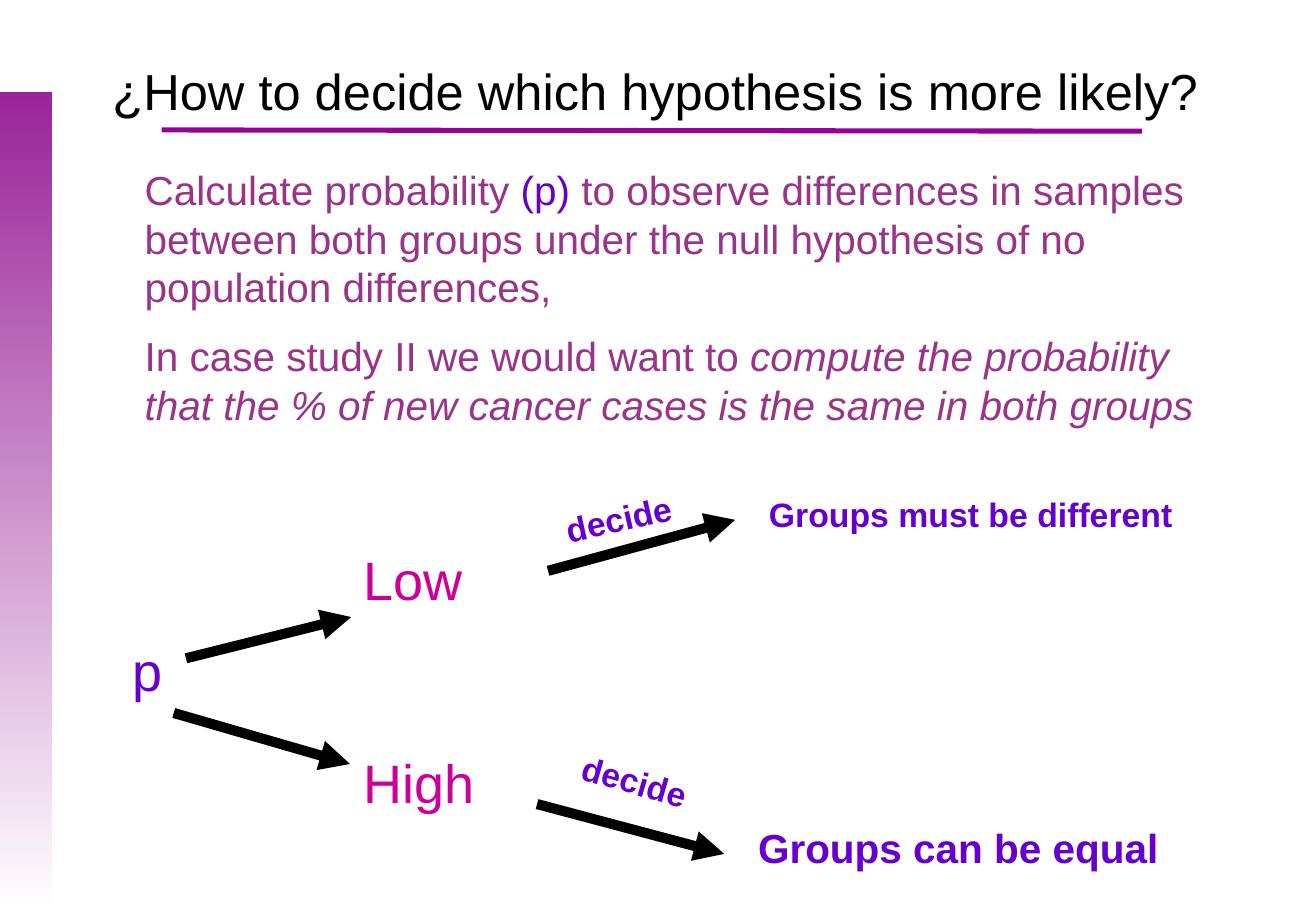
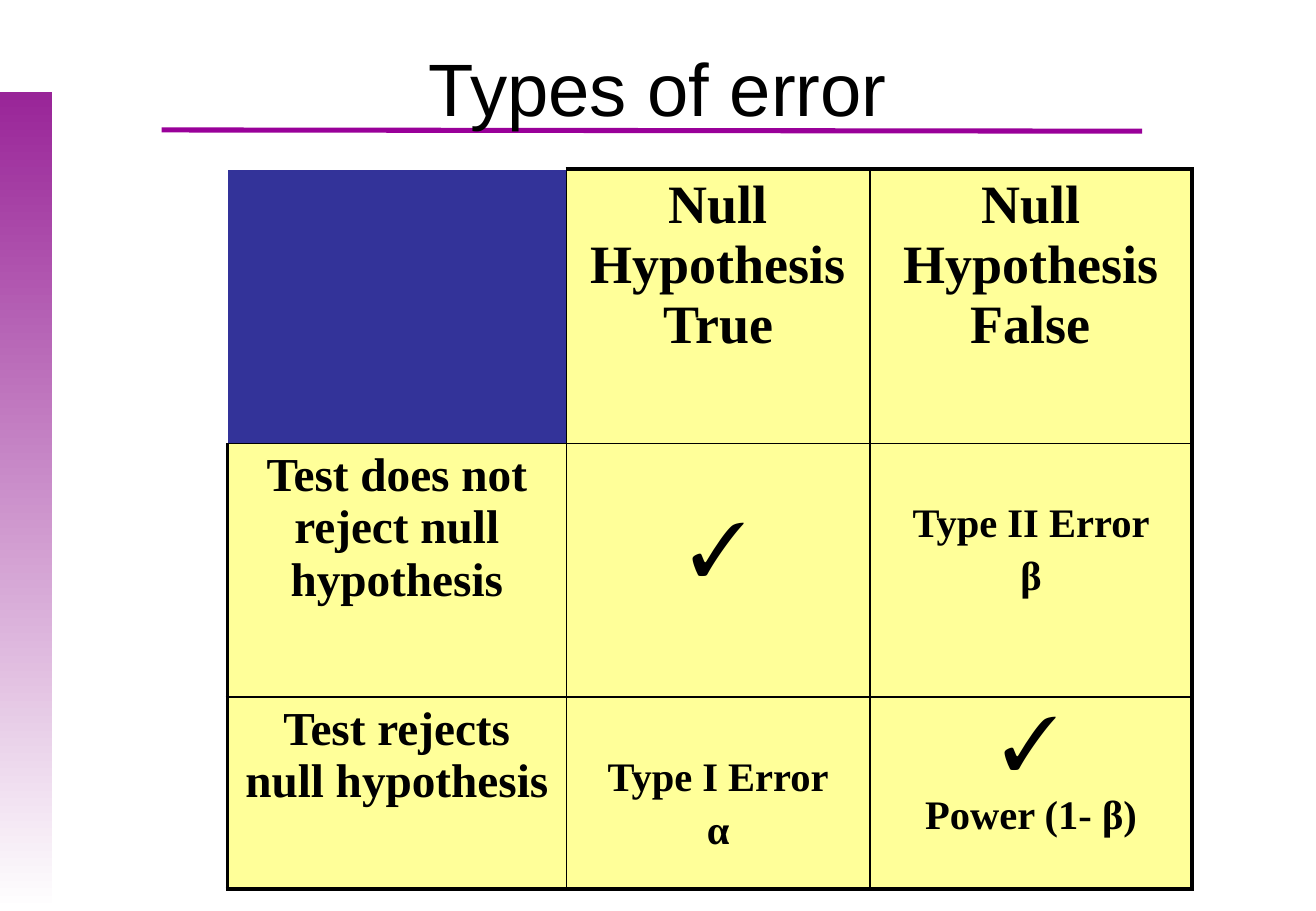
from lxml.etree import SubElement
from pptx import Presentation
from pptx.dml.color import RGBColor
from pptx.enum.shapes import MSO_CONNECTOR, MSO_SHAPE
from pptx.enum.text import MSO_ANCHOR, MSO_AUTO_SIZE, PP_ALIGN
from pptx.oxml import parse_xml
from pptx.oxml.ns import nsdecls, qn
from pptx.util import Inches, Pt

SANS, SERIF = "Arial", "Times New Roman"
BLACK, WHITE = "000000", "FFFFFF"
BAND, RULE = "992598", "990099"
PLUM, VIOLET, MAGENTA = "993489", "6600CC", "CC0099"
NAVY, YELLOW = "333399", "FFFF99"
THIN, THICK = 1, 2.25

RESULT = {"size": 20, "color": VIOLET, "bold": True}
OUTCOME = {"size": 32, "color": MAGENTA}


def rgb(value):
    """Return the colour for a hex string."""
    return RGBColor.from_string(value)


def set_values(target, values):
    """Set every attribute named in a dict."""
    for name, value in values.items():
        setattr(target, name, value)


def place(shape, left, top, width, height):
    """Move and size a shape, in inches."""
    box = {"left": left, "top": top, "width": width, "height": height}
    set_values(shape, {name: Inches(value) for name, value in box.items()})


def add_run(paragraph, text, size, color=BLACK, name=SANS, **values):
    """Add a formatted run to a paragraph."""
    run = paragraph.add_run()
    run.text = text
    set_values(run.font, {"size": Pt(size), "name": name, **values})
    run.font.color.rgb = rgb(color)


def add_line(slide, start, end, color, width, arrow=False):
    """Draw a straight line, with an arrowhead on request."""
    points = [Inches(value) for value in (*start, *end)]
    connector = slide.shapes.add_connector(MSO_CONNECTOR.STRAIGHT, *points)
    connector.line.color.rgb = rgb(color)
    connector.line.width = Pt(width)
    properties = connector.element.spPr
    if arrow:
        SubElement(properties.find(qn("a:ln")), qn("a:tailEnd"), type="triangle")
    SubElement(properties, qn("a:effectLst"))
    return connector


def add_label(slide, text, left, top, width, height, style, rotation=0):
    """Add a one-line text box."""
    label = slide.shapes.add_textbox(0, 0, 0, 0)
    place(label, left, top, width, height)
    label.rotation = rotation
    label.text_frame.word_wrap = True
    add_run(label.text_frame.paragraphs[0], text, **style)


def decorate_master(master, slide):
    """Put the side band and title rule on the master."""
    band = slide.shapes.add_shape(MSO_SHAPE.RECTANGLE, 0, 0, 0, 0)
    place(band, 0, 0.76, 0.43, 6.74)
    band.shadow.inherit = False
    band.line.fill.background()
    band.fill.gradient()
    band.fill.gradient_angle = 270
    for stop, position, color in zip(band.fill.gradient_stops, (0, 1), (BAND, WHITE)):
        stop.position = position
        stop.color.rgb = rgb(color)
    rule = add_line(slide, (1.33, 1.07), (9.4, 1.08), RULE, 3)
    for number, shape in enumerate((band, rule), start=101):
        shape.element.xpath("./*/p:cNvPr")[0].set("id", str(number))
        master.shapes.element.append(shape.element)


def set_title(slide, text, size, *box):
    """Fill and place the title placeholder."""
    title = slide.shapes.title
    place(title, *box)
    frame = title.text_frame
    set_values(frame, {"vertical_anchor": MSO_ANCHOR.TOP, "auto_size": MSO_AUTO_SIZE.NONE})
    frame.paragraphs[0].alignment = PP_ALIGN.CENTER
    add_run(frame.paragraphs[0], text, size)


def fill_body(body, *box):
    """Write the explanation into the body placeholder."""
    place(body, *box)
    frame = body.text_frame
    frame.auto_size = MSO_AUTO_SIZE.NONE
    paragraphs = (
        (
            ("Calculate probability ", {}),
            ("(p) ", {"color": VIOLET}),
            ("to observe differences in samples between both groups under "
             "the null hypothesis of no population differences,", {}),
        ),
        (
            ("In case study II we would want to ", {}),
            ("compute the probability that the % of new cancer cases "
             "is the same in both groups", {"italic": True}),
        ),
    )
    for index, runs in enumerate(paragraphs):
        paragraph = frame.add_paragraph() if index else frame.paragraphs[0]
        paragraph.space_before = Pt(12)
        properties = paragraph._p.get_or_add_pPr()
        set_values_xml = {"marL": "0", "indent": "0"}
        for name, value in set_values_xml.items():
            properties.set(name, value)
        SubElement(properties, qn("a:buNone"))
        for text, style in runs:
            add_run(paragraph, text, **{"size": 24, "color": PLUM, **style})


def add_decision_tree(slide, left, top):
    """Draw the tree from p to both conclusions."""
    labels = (
        ("p", 0, 1.18, 1.9, 0.63, {"size": 32, "color": VIOLET}, 0),
        ("Low", 1.9, 0.43, 1.9, 0.63, OUTCOME, 0),
        ("High", 1.9, 2.1, 1.9, 0.63, OUTCOME, 0),
        ("Groups must be different", 5.24, 0, 4.06, 0.44, RESULT, 0),
        ("Groups can be equal", 5.15, 2.71, 4.06, 0.51, {**RESULT, "size": 24}, 0),
        ("decide", 3.56, 0.02, 1.2, 0.44, RESULT, 347.3),
        ("decide", 3.69, 2.21, 1.2, 0.44, RESULT, 16.1),
    )
    arrows = (
        (0.54, 1.4, 1.9, 1.06),
        (0.44, 1.85, 1.89, 2.27),
        (3.52, 0.68, 5.06, 0.26),
        (3.43, 2.6, 4.97, 3.01),
    )
    for text, x, y, width, height, style, rotation in labels:
        add_label(slide, text, left + x, top + y, width, height, style, rotation)
    for x1, y1, x2, y2 in arrows:
        add_line(slide, (left + x1, top + y1), (left + x2, top + y2), BLACK, 6, True)


def set_borders(cell, widths):
    """Give a cell black borders, keyed by side."""
    properties = cell._tc.get_or_add_tcPr()
    for index, (side, width) in enumerate(widths.items()):
        properties.insert(index, parse_xml(
            f'<a:ln{side} {nsdecls("a")} w="{Pt(width)}"><a:solidFill>'
            f'<a:srgbClr val="{BLACK}"/></a:solidFill></a:ln{side}>'))


def fill_cell(cell, top_margin, lines):
    """Write centred bold lines into a cell."""
    margins = {"margin_left": 0.11, "margin_right": 0.11,
               "margin_top": top_margin, "margin_bottom": 0.05}
    set_values(cell, {name: Inches(value) for name, value in margins.items()})
    for index, (text, size) in enumerate(lines):
        frame = cell.text_frame
        paragraph = frame.add_paragraph() if index else frame.paragraphs[0]
        set_values(paragraph, {"alignment": PP_ALIGN.CENTER, "space_before": Pt(size * 0.2)})
        add_run(paragraph, text, size, name=SERIF, bold=True)


def add_error_table(slide, left, top):
    """Build the table of test results against truth."""
    widths, heights = (2.79, 2.5, 2.65), (2.26, 2.09, 1.58)
    contents = (
        (
            (0.05, ()),
            (0.05, (("Null Hypothesis True", 32),)),
            (0.05, (("Null Hypothesis False", 32),)),
        ),
        (
            (0.05, (("Test does not reject null hypothesis", 28),)),
            (0.54, (("✓", 44),)),
            (0.48, (("Type II Error", 24), ("β", 24))),
        ),
        (
            (0.05, (("Test rejects null hypothesis", 28),)),
            (0.48, (("Type I Error", 24), ("α", 24))),
            (0.05, (("✓", 44), ("Power (1- β)", 24))),
        ),
    )
    box = [Inches(value) for value in (left, top, sum(widths), sum(heights))]
    table = slide.shapes.add_table(len(heights), len(widths), *box).table
    set_values(table, {"first_row": False, "horz_banding": False})
    for column, width in zip(table.columns, widths):
        column.width = Inches(width)
    for row, height in zip(table.rows, heights):
        row.height = Inches(height)
    last_row, last_column = len(heights) - 1, len(widths) - 1
    for r, row in enumerate(contents):
        for c, (top_margin, lines) in enumerate(row):
            cell = table.cell(r, c)
            corner = r == c == 0
            fill_cell(cell, top_margin, lines)
            cell.fill.solid()
            cell.fill.fore_color.rgb = rgb(NAVY if corner else YELLOW)
            outer = {"L": c == 0, "R": c == last_column, "T": r == 0, "B": r == last_row}
            set_borders(cell, {side: THICK if edge else THIN for side, edge in outer.items()
                               if not (corner and edge)})


def build_decision_slide(slide):
    """Fill the slide on choosing a hypothesis."""
    set_title(slide, "¿How to decide which hypothesis is more likely?", 30,
              -0.02, 0.44, 10.83, 0.79)
    fill_body(slide.placeholders[1], 1.09, 1.31, 9.03, 2.32)
    add_decision_tree(slide, 0.99, 4.02)


def build_error_slide(slide):
    """Fill the slide on types of error."""
    set_title(slide, "Types of error", 44, 0.54, 0.3, 9.75, 1.25)
    add_error_table(slide, 1.87, 1.39)


def main():
    """Build and save the presentation."""
    presentation = Presentation()
    set_values(presentation, {"slide_width": Inches(10.83), "slide_height": Inches(7.5)})
    layouts = presentation.slide_layouts
    decision = presentation.slides.add_slide(layouts.get_by_name("Title and Content"))
    decorate_master(presentation.slide_master, decision)
    build_decision_slide(decision)
    build_error_slide(presentation.slides.add_slide(layouts.get_by_name("Title Only")))
    presentation.save("out.pptx")


if __name__ == "__main__":
    main()
